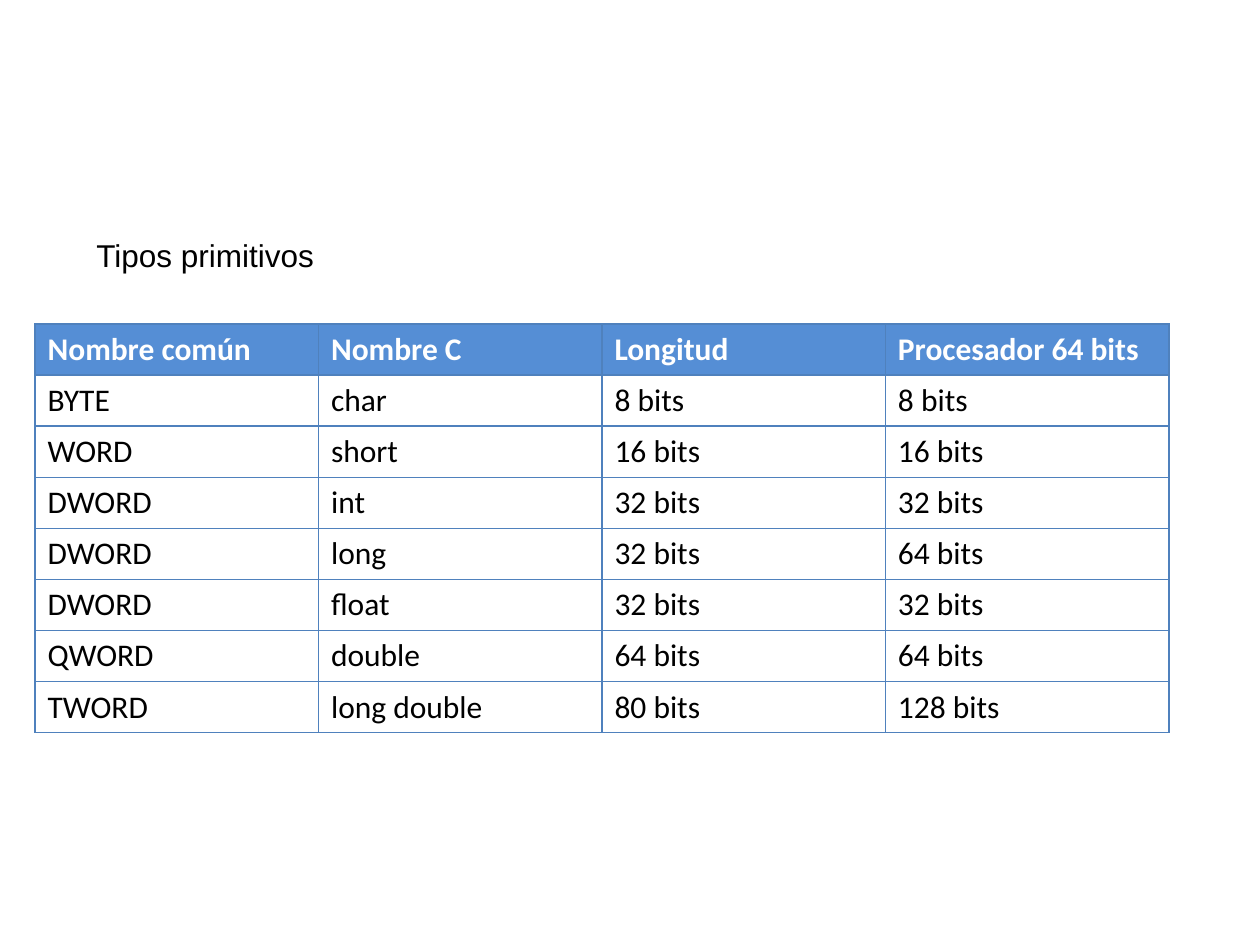
from lxml import etree
from pptx import Presentation, util as u
from pptx.dml.color import RGBColor
from pptx.enum import text
from pptx.oxml import ns

PX = 914400 // 126


def write(frame, words, font="Calibri", size=18, color="000000", bold=False):
    run = frame.paragraphs[0].add_run()
    run.text = words
    run.font.name = font
    run.font.size = u.Pt(size)
    run.font.bold = bold
    run.font.color.rgb = RGBColor.from_string(color)


def border(cell, color, width):
    """Draw a solid line on all four sides; call before the fill is set."""
    props = cell._tc.get_or_add_tcPr()
    for side in ("lnL", "lnR", "lnT", "lnB"):
        line = etree.SubElement(props, ns.qn(f"a:{side}"), w=str(u.Pt(width)))
        fill = etree.SubElement(line, ns.qn("a:solidFill"))
        etree.SubElement(fill, ns.qn("a:srgbClr"), val=color)


deck = Presentation()
deck.slide_width = u.Inches(10)
deck.slide_height = u.Inches(7.5)
slide = deck.slides.add_slide(deck.slide_layouts[6])

rows = [
    ("Nombre común", "Nombre C", "Longitud", "Procesador 64 bits"),
    ("BYTE", "char", "8 bits", "8 bits"),
    ("WORD", "short", "16 bits", "16 bits"),
    ("DWORD", "int", "32 bits", "32 bits"),
    ("DWORD", "long", "32 bits", "64 bits"),
    ("DWORD", "float", "32 bits", "32 bits"),
    ("QWORD", "double", "64 bits", "64 bits"),
    ("TWORD", "long double", "80 bits", "128 bits"),
]
wide, high = 1134, 51 * len(rows)
table = slide.shapes.add_table(
    len(rows), len(rows[0]), 35 * PX, 324 * PX, wide * PX, high * PX
).table
table.horz_banding = False
table.first_row = False

for r, row in enumerate(rows):
    head = r == 0
    for c, words in enumerate(row):
        cell = table.cell(r, c)
        cell.vertical_anchor = text.MSO_ANCHOR.MIDDLE
        border(cell, "4F81BD", 1)
        if head:
            cell.fill.solid()
            cell.fill.fore_color.rgb = RGBColor.from_string("558ED5")
        else:
            cell.fill.background()
        write(cell.text_frame, words, bold=head,
              color="FFFFFF" if head else "000000")

title = slide.shapes.add_textbox(84 * PX, 229 * PX, 246 * PX, 51 * PX).text_frame
title.word_wrap = False
title.auto_size = text.MSO_AUTO_SIZE.SHAPE_TO_FIT_TEXT
title.vertical_anchor = text.MSO_ANCHOR.MIDDLE
write(title, "Tipos primitivos", font="Arial")

deck.save("out.pptx")
